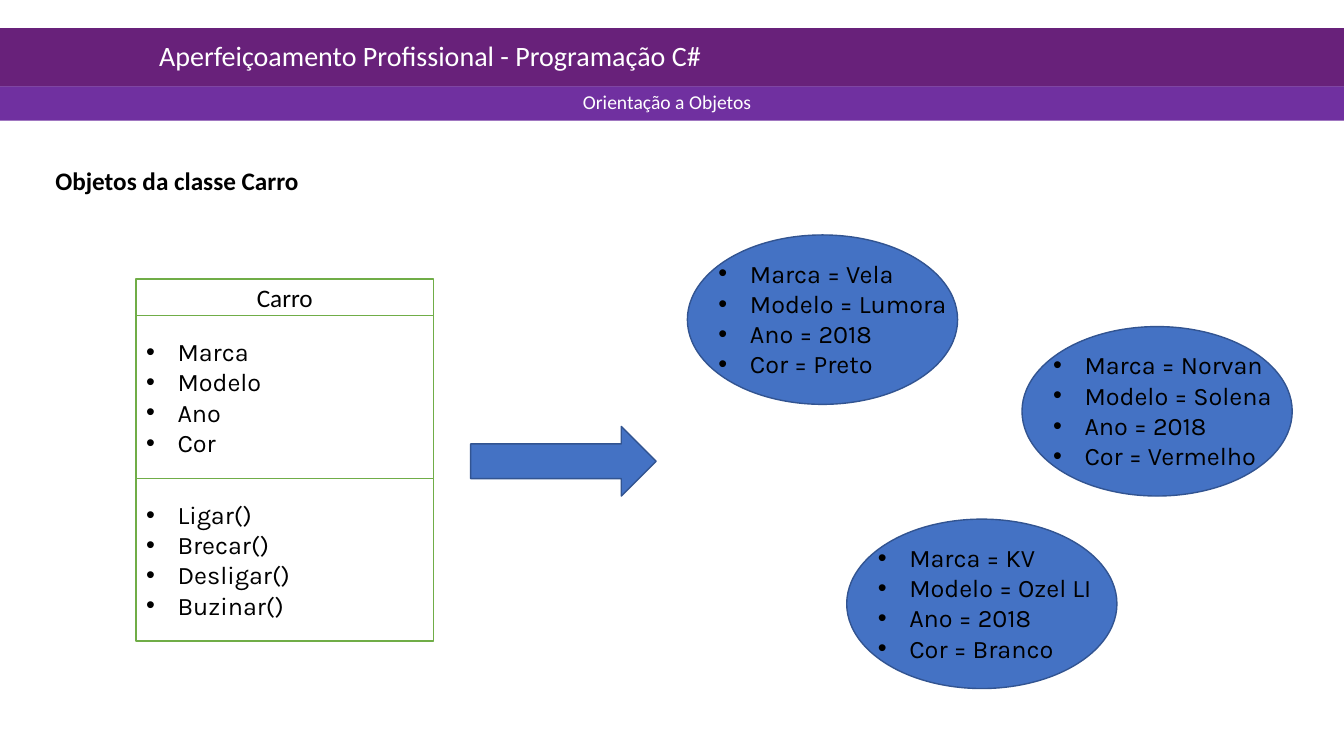
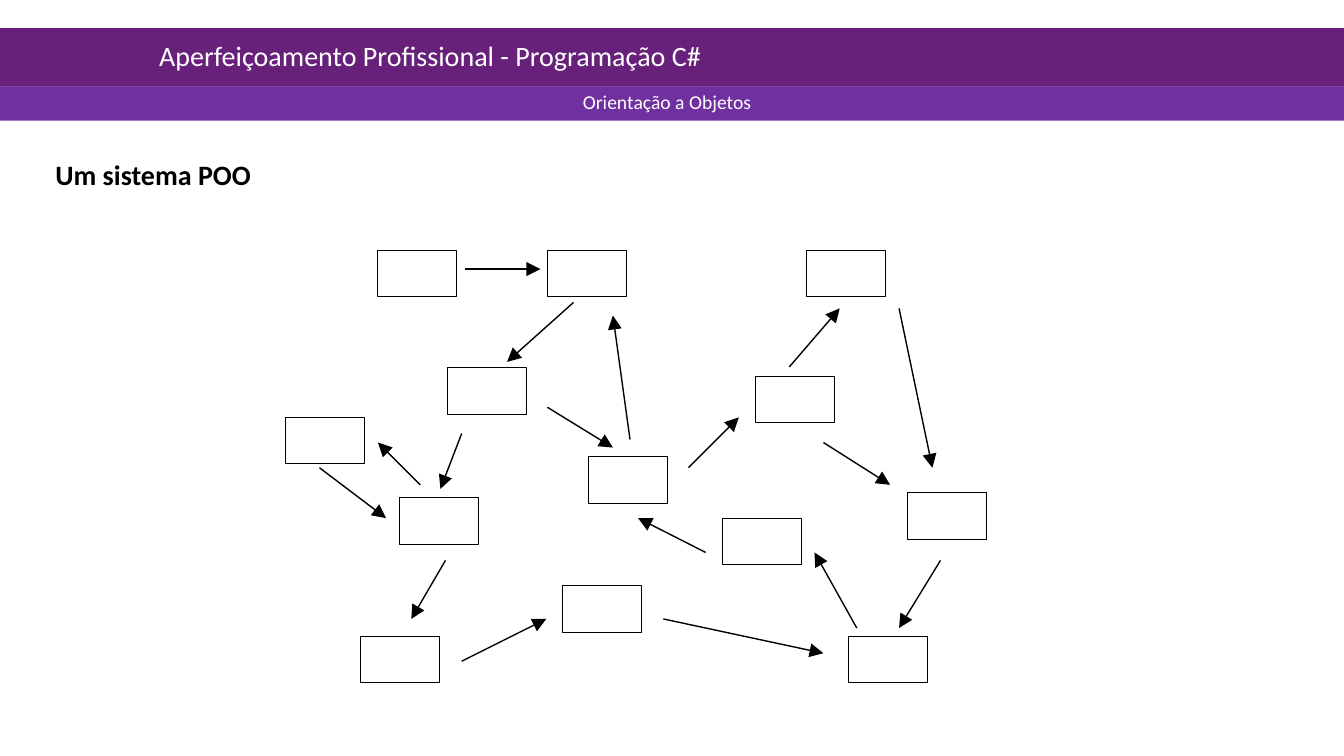
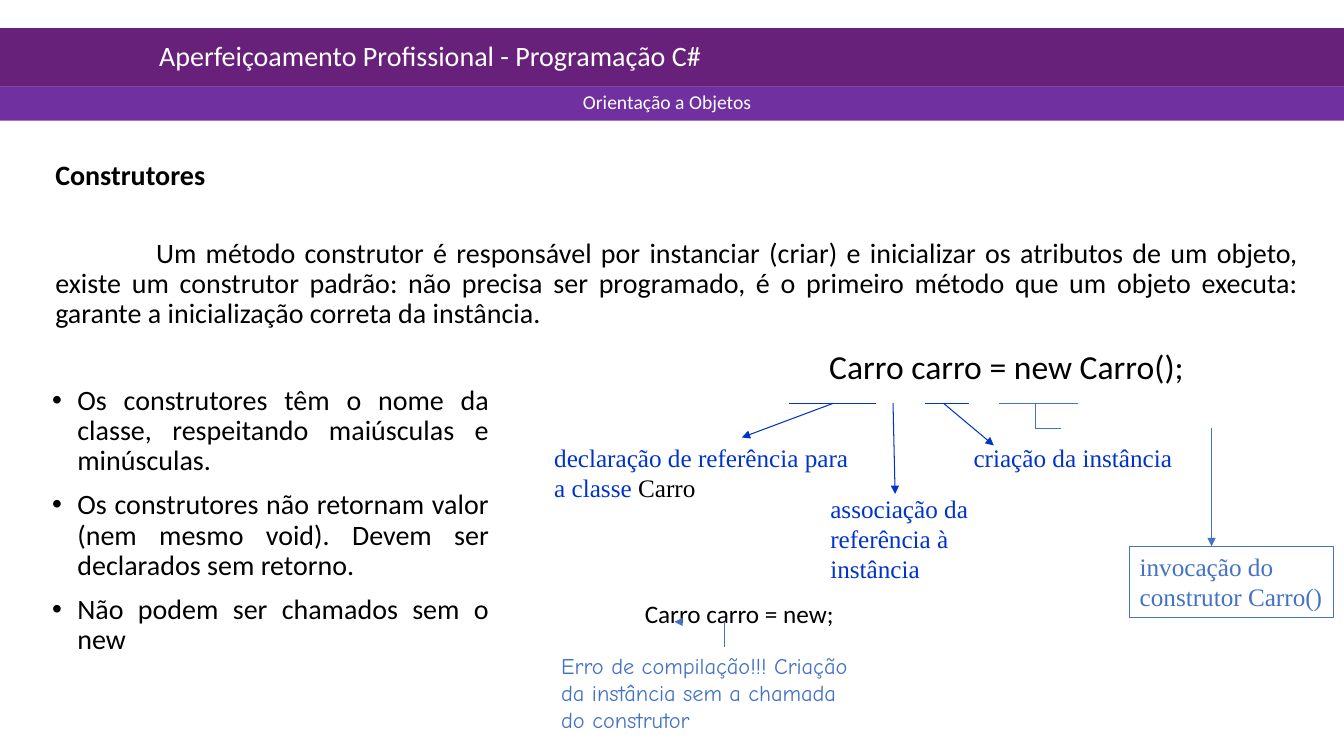
from dataclasses import dataclass
from typing import Any, NamedTuple, Optional

from lxml.etree import SubElement
from pptx import Presentation
from pptx.dml.color import RGBColor
from pptx.enum.shapes import MSO_CONNECTOR as Conn, MSO_SHAPE as Geo
from pptx.enum.text import MSO_ANCHOR as Anchor, PP_ALIGN as Align
from pptx.oxml.ns import qn
from pptx.util import Pt


# Theme: colours, fonts and type sizes
@dataclass(frozen=True)
class Theme:
    band: str = "68217A"
    subband: str = "7030A0"
    white: str = "FFFFFF"
    black: str = "000000"
    blue: str = "4472C4"
    blue_edge: str = "325491"
    green: str = "70AD47"
    note: str = "0033CC"
    body: str = "Calibri"
    listing: str = "Karla"
    serif: str = "Times New Roman"
    casual: str = "Comic Neue"
    code: int = 24
    title: int = 20
    text: int = 18
    small: int = 16
    subtitle: int = 14


T = Theme()
SLIDE_W, SLIDE_H = 960, 540


# Repeated elements, all lengths in points
class Box(NamedTuple):
    x: float
    y: float
    w: float
    h: float


class Arrow(NamedTuple):
    x1: float
    y1: float
    x2: float
    y2: float
    color: str = T.black
    width: float = 1
    head: Optional[str] = "lg"


class Run(NamedTuple):
    text: str
    color: str


@dataclass(frozen=True)
class Style:
    size: int = T.text
    font: str = T.body
    color: str = T.black
    bold: bool = False
    align: Align = Align.LEFT
    spacing: float = 1.0
    before: float = 0
    margin: float = 0
    indent: float = 0
    bullet: bool = False


class CarObject(NamedTuple):
    x: float
    y: float
    values: tuple[str, ...]


class Note(NamedTuple):
    box: Box
    runs: tuple[Run, ...]
    style: Style


HEADING = Style(T.title, bold=True)
MEMBERS = Style(font=T.listing, margin=22.5, indent=-22.5, bullet=True)
RULES = Style(T.title, align=Align.JUSTIFY, spacing=0.9, before=10,
              margin=18, indent=-18, bullet=True)
NOTE = Style(font=T.serif, color=T.note)


# Drawing functions
def apply(obj: Any, values: dict[str, Any]) -> None:
    for name, value in values.items():
        setattr(obj, name, value)


def add_para(p: Any, runs: tuple[Run, ...], st: Style) -> None:
    apply(p, {"alignment": st.align, "line_spacing": st.spacing,
              "space_before": Pt(st.before)})
    pPr = p._p.get_or_add_pPr()
    pPr.set("marL", str(Pt(st.margin)))
    pPr.set("indent", str(Pt(st.indent)))
    if st.bullet:
        SubElement(pPr, qn("a:buFont")).set("typeface", "Arial")
        SubElement(pPr, qn("a:buChar")).set("char", "•")
    for text, color in runs:
        r = p.add_run()
        r.text = text
        apply(r.font, {"name": st.font, "size": Pt(st.size), "bold": st.bold})
        r.font.color.rgb = RGBColor.from_string(color)


def write(sp: Any, paras: list[tuple[tuple[Run, ...], Style]],
          anchor: Anchor = Anchor.TOP) -> None:
    tf = sp.text_frame
    apply(tf, {"word_wrap": True, "vertical_anchor": anchor})
    for i, (runs, st) in enumerate(paras):
        add_para(tf.add_paragraph() if i else tf.paragraphs[0], runs, st)


def plain(lines: tuple[str, ...], st: Style) -> list[tuple[tuple[Run, ...], Style]]:
    return [((Run(line, st.color),), st) for line in lines]


def add_text(s: Any, box: Box, lines: tuple[str, ...], st: Style) -> None:
    write(s.shapes.add_textbox(*map(Pt, box)), plain(lines, st))


def add_shape(s: Any, geo: Geo, box: Box, fill: Optional[str] = None,
              line: Optional[str] = None, width: float = 1) -> Any:
    sp = s.shapes.add_shape(geo, *map(Pt, box))
    sp.shadow.inherit = False
    if fill:
        sp.fill.solid()
        sp.fill.fore_color.rgb = RGBColor.from_string(fill)
    else:
        sp.fill.background()
    if line:
        sp.line.color.rgb = RGBColor.from_string(line)
        sp.line.width = Pt(width)
    else:
        sp.line.fill.background()
    return sp


def add_arrow(s: Any, a: Arrow) -> None:
    c = s.shapes.add_connector(Conn.STRAIGHT, *map(Pt, a[:4]))
    c.line.color.rgb = RGBColor.from_string(a.color)
    c.line.width = Pt(a.width)
    if a.head:
        tail = SubElement(c.line._get_or_add_ln(), qn("a:tailEnd"))
        for name, value in {"type": "triangle", "w": a.head, "len": a.head}.items():
            tail.set(name, value)
    SubElement(c._element.spPr, qn("a:effectLst"))


def new_slide(prs: Any) -> Any:
    s = prs.slides.add_slide(prs.slide_layouts[6])
    sp = add_shape(s, Geo.RECTANGLE, Box(0, 20, SLIDE_W, 41.8), T.band)
    write(sp, plain(("Aperfeiçoamento Profissional - Programação C#",),
                    Style(T.title, color=T.white, spacing=0.9, margin=106.6)),
          Anchor.MIDDLE)
    sp = add_shape(s, Geo.RECTANGLE, Box(0, 61.8, SLIDE_W, 24.5), T.subband)
    write(sp, plain(("Orientação a Objetos",),
                    Style(T.subtitle, color=T.white, align=Align.CENTER, spacing=0.9)),
          Anchor.MIDDLE)
    sp.text_frame.margin_right = Pt(14)
    return s


# Slide 1: the class and its objects
FIELDS = ("Marca", "Modelo", "Ano", "Cor")
METHODS = ("Ligar()", "Brecar()", "Desligar()", "Buzinar()")
CARS = (
    CarObject(491, 167.8, ("Vela", "Lumora", "2018", "Preto")),
    CarObject(604.8, 370.8, ("KV", "Ozel LI", "2018", "Branco")),
    CarObject(730, 233.3, ("Norvan", "Solena", "2018", "Vermelho")),
)


def objects_slide(prs: Any) -> None:
    s = new_slide(prs)
    add_text(s, Box(32.4, 114.4, 902, 30), ("Objetos da classe Carro",),
             Style(bold=True))
    y = 199.4
    for h, lines, st in ((26, ("Carro",), Style(align=Align.CENTER)),
                         (116.3, FIELDS, MEMBERS), (116.3, METHODS, MEMBERS)):
        sp = add_shape(s, Geo.RECTANGLE, Box(97.2, y, 212.4, h), T.white, T.green)
        write(sp, plain(lines, st), Anchor.MIDDLE)
        y += h
    for car in CARS:
        add_shape(s, Geo.OVAL, Box(car.x, car.y, 193, 121), T.blue, T.blue_edge)
        lines = tuple(f"{k} = {v}" for k, v in zip(FIELDS, car.values))
        add_text(s, Box(car.x + 15.1, car.y + 13, 178.6, 94.3), lines, MEMBERS)
    add_shape(s, Geo.RIGHT_ARROW, Box(336.2, 304.6, 132.5, 49.7), T.blue, T.blue_edge)


# Slide 2: objects exchanging messages
NODES = ((270, 178.6), (391, 178.6), (319.7, 262.8), (420.5, 326.2),
         (285.1, 355.7), (203.8, 298.1), (257.8, 454.3), (516.2, 370.1),
         (540, 268.6), (648, 352.1), (576, 178.6), (401.8, 418.3), (606.2, 454.3))
MESSAGES = (
    Arrow(332, 192.2, 386, 192.2), Arrow(409.7, 216, 362.2, 258.5),
    Arrow(391, 290.9, 437.8, 319.7), Arrow(450, 313.9, 437.8, 225.4),
    Arrow(329.8, 309.6, 314.6, 349.2), Arrow(300.2, 346.3, 270, 316.1),
    Arrow(318.2, 400.3, 293.8, 442.1), Arrow(329.8, 472.3, 390.2, 442.1),
    Arrow(491.8, 334.1, 527.8, 298.1), Arrow(563.8, 262.1, 599.8, 220.3),
    Arrow(588.2, 316.1, 635.8, 346.3), Arrow(642.2, 220.3, 666, 334.1),
    Arrow(671.8, 400.3, 642.2, 448.6), Arrow(473.8, 442.1, 588.2, 466.6),
    Arrow(504, 394.6, 455.8, 370.1), Arrow(228.2, 334.1, 275.8, 370.1),
    Arrow(612, 448.6, 581.8, 394.6),
)


def system_slide(prs: Any) -> None:
    s = new_slide(prs)
    add_text(s, Box(32.4, 108.7, 902, 32), ("Um sistema POO",), HEADING)
    for x, y in NODES:
        add_shape(s, Geo.RECTANGLE, Box(x, y, 56.4, 33.3), line=T.black, width=0.75)
    for a in MESSAGES:
        add_arrow(s, a)


# Slide 3: constructors
INTRO = ("Um método construtor é responsável por instanciar (criar) e inicializar "
         "os atributos de um objeto, existe um construtor padrão: não precisa ser "
         "programado, é o primeiro método que um objeto executa: garante a "
         "inicialização correta da instância.")
RULE_LINES = (
    "Os construtores têm o nome da classe, respeitando maiúsculas e minúsculas.",
    "Os construtores não retornam valor (nem mesmo void). Devem ser declarados "
    "sem retorno.",
    "Não podem ser chamados sem o new",
)
NOTES = (
    Note(Box(388.8, 312.5, 230.4, 50.4),
         (Run("declaração de referência para a classe ", T.note),
          Run("Carro", T.black)), NOTE),
    Note(Box(586, 348.5, 159, 50.4),
         (Run("associação da referência à instância", T.note),), NOTE),
    Note(Box(688.3, 312.5, 159, 28.8), (Run("criação da instância", T.note),), NOTE),
    Note(Box(393.8, 462.2, 225.4, 64.8),
         (Run("Erro de compilação!!! Criação da instância sem a chamada do construtor",
              T.blue),), Style(T.small, T.casual)),
)
UNDER = 288  # height of the underlines below the code
POINTERS = tuple(Arrow(*ends, color, 0.75, head) for color, head, ends in (
    (T.note, "med", (673.9, UNDER, 709.9, 318.2)),
    (T.note, "med", (595.4, UNDER, 529.9, 312.5)),
    (T.note, "med", (637.9, UNDER, 639.4, 352.8)),
    (T.blue, "med", (865.4, 306, 865.4, 390.2)),
    (T.note, None, (563.8, UNDER, 625.7, UNDER)),
    (T.note, None, (661, UNDER, 691.9, UNDER)),
    (T.blue, None, (713.5, UNDER, 769.7, UNDER)),
    (T.blue, None, (758.2, 306, 739.4, 306)),
    (T.blue, None, (739.4, 306, 739.4, UNDER)),
    (T.blue, None, (517.7, 444.2, 517.7, 462.2)),
    (T.blue, "med", (486.7, 444.2, 481.7, 444.2)),
))


def constructors_slide(prs: Any) -> None:
    s = new_slide(prs)
    intro = Style(T.title, align=Align.JUSTIFY, spacing=0.9, before=34.4, indent=72)
    sp = s.shapes.add_textbox(*map(Pt, Box(32.4, 108.7, 902, 132)))
    write(sp, plain(("Construtores",), HEADING) + plain((INTRO,), intro))
    add_text(s, Box(538.9, 243.3, 360, 36.5), ("Carro carro = new Carro();",),
             Style(T.code, align=Align.CENTER))
    add_text(s, Box(453.5, 423.7, 160, 29.2), ("Carro carro = new;",), Style())
    for note in NOTES:
        sp = s.shapes.add_textbox(*map(Pt, note.box))
        write(sp, [(note.runs, note.style)])
    sp = add_shape(s, Geo.RECTANGLE, Box(807, 390.2, 145.6, 51.1),
                   line=T.blue, width=0.75)
    write(sp, plain(("invocação do construtor Carro()",),
                    Style(font=T.serif, color=T.blue)))
    for a in POINTERS:
        add_arrow(s, a)
    add_text(s, Box(30.2, 272.2, 326.2, 201.6), RULE_LINES, RULES)


def main() -> None:
    prs = Presentation()
    apply(prs, {"slide_width": Pt(SLIDE_W), "slide_height": Pt(SLIDE_H)})
    for build in (objects_slide, system_slide, constructors_slide):
        build(prs)
    prs.save("out.pptx")


if __name__ == "__main__":
    main()
